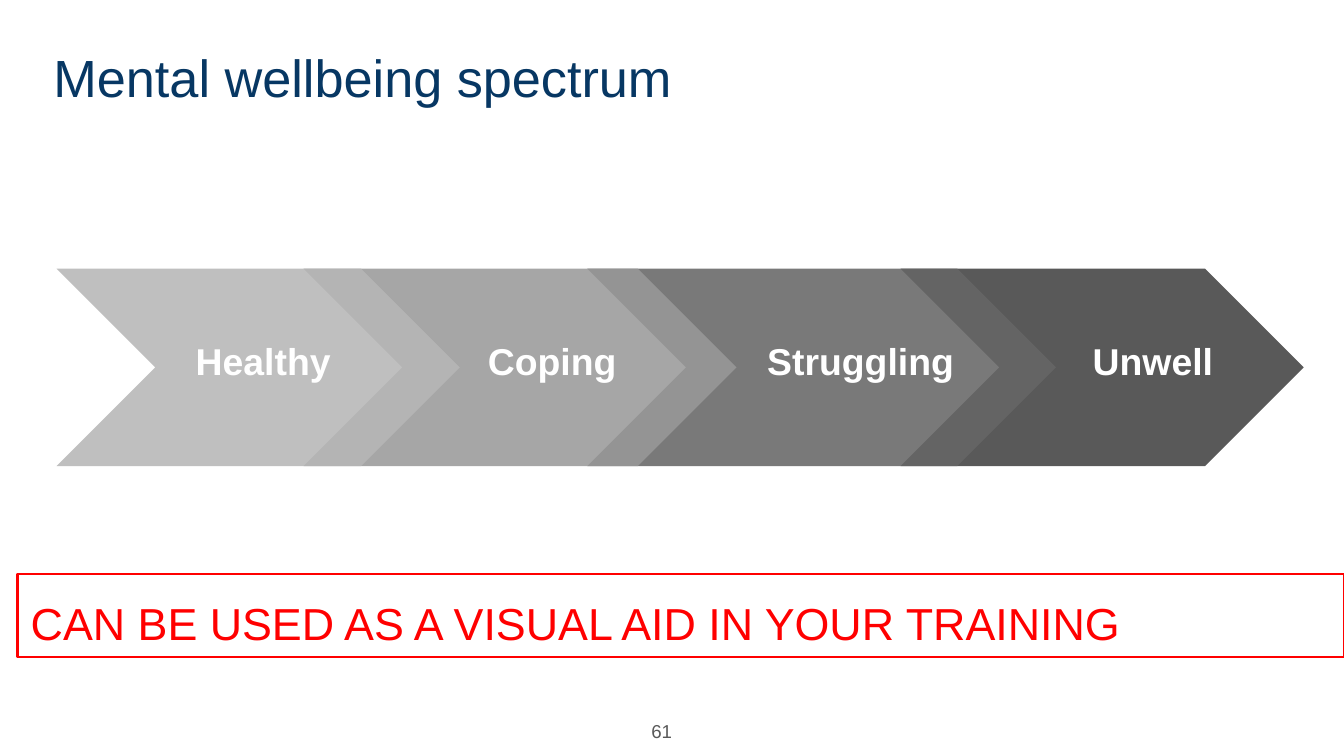
import pptx
import pptx.dml.color
import pptx.enum.shapes
import pptx.enum.text
import pptx.oxml
import pptx.oxml.ns
import pptx.util

Cm = pptx.util.Cm
RGBColor = pptx.dml.color.RGBColor
Align = pptx.enum.text.PP_ALIGN
Anchor = pptx.enum.text.MSO_ANCHOR

NAVY = RGBColor(0x07, 0x37, 0x63)
RED = RGBColor(0xFF, 0x00, 0x00)
WHITE = RGBColor(0xFF, 0xFF, 0xFF)
NUMBER_GRAY = RGBColor(0x59, 0x59, 0x59)
LIGHT_GRAY = RGBColor(0xB7, 0xB7, 0xB7)
MEDIUM_GRAY = RGBColor(0x99, 0x99, 0x99)
DARK_GRAY = RGBColor(0x66, 0x66, 0x66)
CHARCOAL = RGBColor(0x43, 0x43, 0x43)


def write_text(shape, text, size, color, bold=False, align=Align.LEFT,
               anchor=Anchor.TOP, font="Arial", line_spacing=1.0, space_after=0):
    frame = shape.text_frame
    frame.word_wrap = True
    frame.auto_size = pptx.enum.text.MSO_AUTO_SIZE.NONE
    frame.vertical_anchor = anchor
    frame.margin_left = frame.margin_right = Cm(0.25)
    frame.margin_top = frame.margin_bottom = Cm(0.25)
    paragraph = frame.paragraphs[0]
    paragraph.alignment = align
    paragraph.line_spacing = line_spacing
    paragraph.space_before = pptx.util.Pt(0)
    paragraph.space_after = pptx.util.Pt(space_after)
    run = paragraph.add_run()
    run.text = text
    run.font.name = font
    run.font.size = pptx.util.Pt(size)
    run.font.bold = bold
    run.font.color.rgb = color


class SlideBuilder:
    def __init__(self, slide):
        self.slide = slide

    def placeholder(self, index, text, left, top, width, height, **style):
        shape = self.slide.placeholders[index]
        shape.left, shape.top = Cm(left), Cm(top)
        shape.width, shape.height = Cm(width), Cm(height)
        write_text(shape, text, **style)
        return shape

    def text(self, text, left, top, width, height, **style):
        shape = self.slide.shapes.add_textbox(Cm(left), Cm(top), Cm(width), Cm(height))
        write_text(shape, text, **style)

    def chevron(self, left, top, width, height, color, opacity):
        shape = self.slide.shapes.add_shape(
            pptx.enum.shapes.MSO_SHAPE.CHEVRON, Cm(left), Cm(top), Cm(width), Cm(height))
        shape.adjustments[0] = 0.5
        shape.shadow.inherit = False
        shape.line.fill.background()
        shape.fill.solid()
        shape.fill.fore_color.rgb = color
        # Transparency
        color_element = shape.fill._xPr.find(".//" + pptx.oxml.ns.qn("a:srgbClr"))
        alpha = pptx.oxml.parse_xml(
            f'<a:alpha {pptx.oxml.ns.nsdecls("a")} val="{opacity * 1000}"/>')
        color_element.append(alpha)


presentation = pptx.Presentation()
presentation.slide_width = Cm(25.4)
presentation.slide_height = Cm(14.29)
slide = presentation.slides.add_slide(presentation.slide_layouts[0])
builder = SlideBuilder(slide)

# Title
builder.placeholder(0, "Mental wellbeing spectrum", 0.76, 0.61, 21.54, 1.6,
                    size=28, color=NAVY)

# Spectrum stages: label, chevron left and width, color, opacity, label left and width
stages = [
    ("Healthy", 1.07, 7.62, LIGHT_GRAY, 88, 3.45, 3.2),
    ("Coping", 5.74, 8.18, MEDIUM_GRAY, 87, 8.97, 3.2),
    ("Struggling", 11.1, 8.86, DARK_GRAY, 87, 14.25, 4.62),
    ("Unwell", 17.02, 7.62, CHARCOAL, 88, 20.4, 3.2),
]
# Each stage overlaps the one to its right
for _, left, width, color, opacity, _, _ in reversed(stages):
    builder.chevron(left, 5.08, width, 3.73, color, opacity)
for label, _, _, _, _, left, width in stages:
    builder.text(label, left, 6.15, width, 1.19, size=20, color=WHITE, bold=True)

# Framed note
note = builder.placeholder(1, "CAN BE USED AS A VISUAL AID IN YOUR TRAINING",
                           0.33, 10.85, 25.07, 1.57, size=24, color=RED,
                           line_spacing=1.15, space_after=16)
note.line.color.rgb = RED
note.line.width = pptx.util.Pt(1.5)

# Slide number
builder.text("61", 11.96, 13.36, 0.99, 0.93, size=10, color=NUMBER_GRAY,
             align=Align.RIGHT, anchor=Anchor.MIDDLE)

presentation.save("out.pptx")
